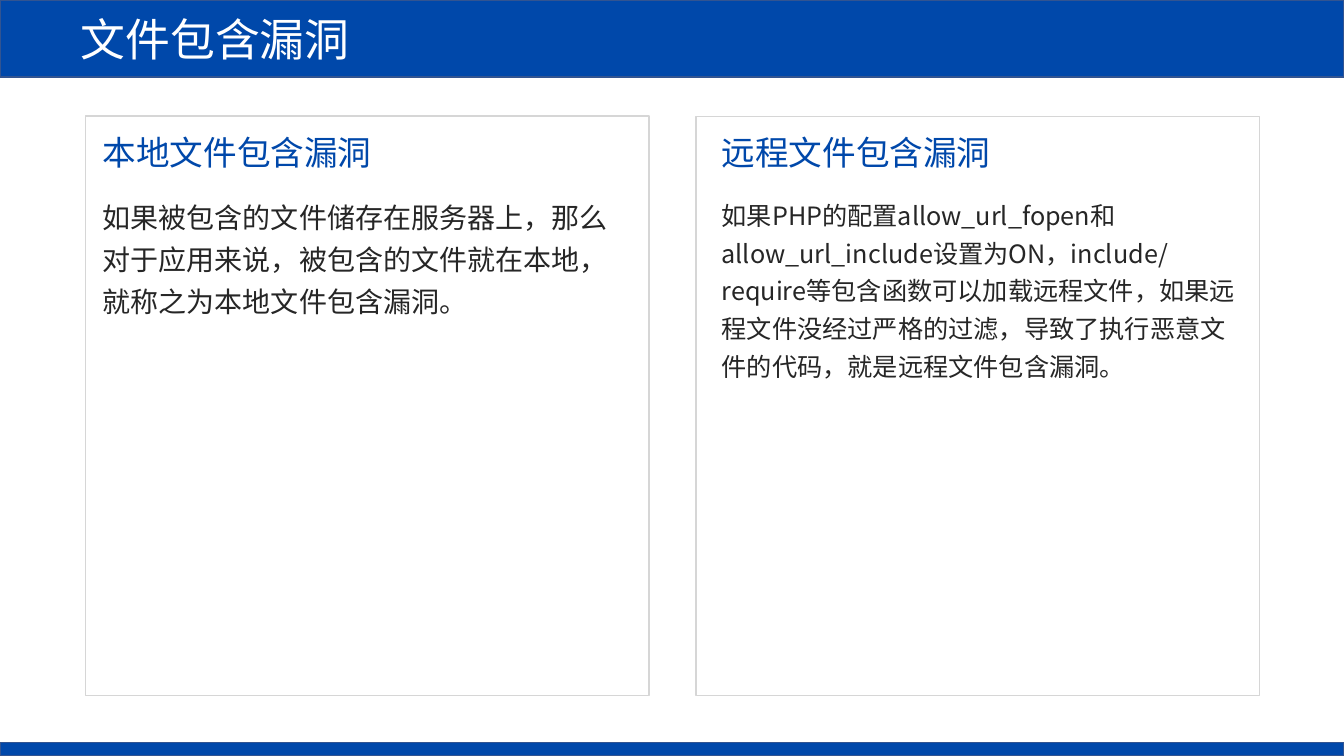
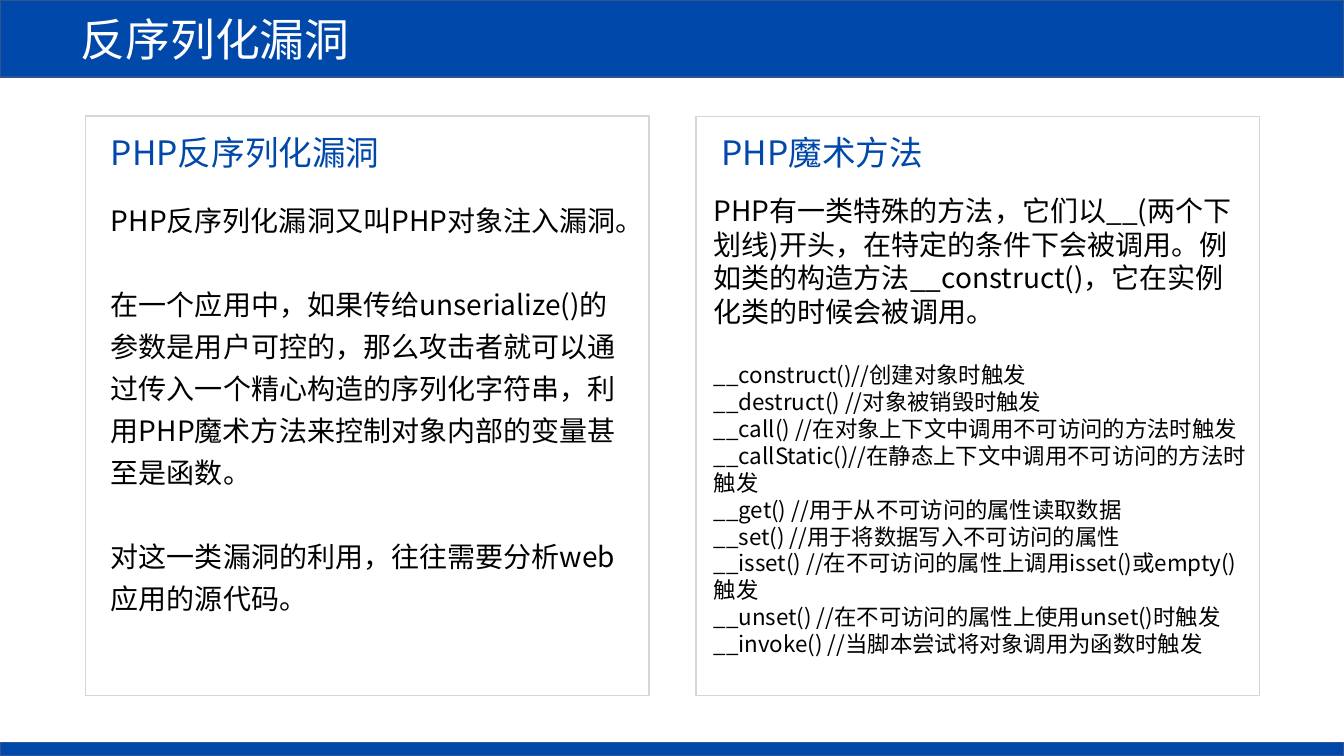
from dataclasses import dataclass

from lxml import etree
from pptx import Presentation
from pptx import util as u
from pptx.dml.color import RGBColor
from pptx.enum import shapes, text
from pptx.oxml import ns

FONT = "Noto Sans CJK SC"
BLUE, BAND_EDGE, FRAME_EDGE = "0048AA", "325491", "D6D6D6"
WHITE, BLACK, CHARCOAL = "FFFFFF", "000000", "262626"
SLIDE_WIDTH, SLIDE_HEIGHT = 960, 540
HEADER_HEIGHT, FOOTER_HEIGHT = 54.9, 9.6
COMPARISON_LAYOUT = 4
HEADING_TOP = 90.7


@dataclass(frozen=True)
class Box:
    left: float
    top: float
    width: float
    height: float


@dataclass(frozen=True)
class Line:
    words: str
    size: float = 20
    before: float = 0


@dataclass(frozen=True)
class Panel:
    heading: str
    heading_left: float
    body: Box
    lines: tuple[Line, ...]
    color: str = BLACK
    spacing: float = 1.25


@dataclass(frozen=True)
class Topic:
    title: str
    panels: tuple[Panel, Panel]


HEADER = Box(0, 0, SLIDE_WIDTH, HEADER_HEIGHT)
FOOTER = Box(0, SLIDE_HEIGHT - FOOTER_HEIGHT, SLIDE_WIDTH, FOOTER_HEIGHT)
FRAMES = (Box(61.2, 82.8, 402.5, 414), Box(497.1, 83.3, 402.5, 413.5))

MAGIC_METHODS = (
    "__construct()//创建对象时触发",
    "__destruct() //对象被销毁时触发",
    "__call() //在对象上下文中调用不可访问的方法时触发",
    "__callStatic()//在静态上下文中调用不可访问的方法时触发",
    "__get() //用于从不可访问的属性读取数据",
    "__set() //用于将数据写入不可访问的属性",
    "__isset() //在不可访问的属性上调用isset()或empty()触发",
    "__unset() //在不可访问的属性上使用unset()时触发",
    "__invoke() //当脚本尝试将对象调用为函数时触发",
)

TOPICS = (
    Topic("文件包含漏洞", (
        Panel("本地文件包含漏洞", 66.2, Box(66.2, 133.9, 380.2, 95), (
            Line("如果被包含的文件储存在服务器上，那么对于应用来说，被包含的文件就在本地，"
                 "就称之为本地文件包含漏洞。"),
        ), CHARCOAL),
        Panel("远程文件包含漏洞", 508.3, Box(508.3, 133.9, 385.2, 141), (
            Line("如果PHP的配置allow_url_fopen和allow_url_include设置为ON，include/require"
                 "等包含函数可以加载远程文件，如果远程文件没经过严格的过滤，"
                 "导致了执行恶意文件的代码，就是远程文件包含漏洞。", 18),
        ), CHARCOAL),
    )),
    Topic("反序列化漏洞", (
        Panel("PHP反序列化漏洞", 72, Box(72, 136.1, 380.2, 307.4), (
            Line("PHP反序列化漏洞又叫PHP对象注入漏洞。"),
            Line("在一个应用中，如果传给unserialize()的参数是用户可控的，那么攻击者就可以"
                 "通过传入一个精心构造的序列化字符串，利用PHP魔术方法来控制对象内部的变量"
                 "甚至是函数。", before=30),
            Line("对这一类漏洞的利用，往往需要分析web应用的源代码。", before=30),
        )),
        Panel("PHP魔术方法", 508.3, Box(502.6, 134.6, 396.7, 342), (
            Line("PHP有一类特殊的方法，它们以__(两个下划线)开头，在特定的条件下会被调用。"
                 "例如类的构造方法__construct()，它在实例化类的时候会被调用。"),
            *(Line(method, 16, 0 if row else 24)
              for row, method in enumerate(MAGIC_METHODS)),
        ), spacing=1),
    )),
)


def rgb(color: str) -> RGBColor:
    return RGBColor.from_string(color)


def place(shape, box: Box) -> None:
    shape.left, shape.top = u.Pt(box.left), u.Pt(box.top)
    shape.width, shape.height = u.Pt(box.width), u.Pt(box.height)


def outline(shape, color: str) -> None:
    shape.line.color.rgb = rgb(color)
    shape.line.width = u.Pt(1)


def paint_band(shape) -> None:
    shape.fill.solid()
    shape.fill.fore_color.rgb = rgb(BLUE)
    outline(shape, BAND_EDGE)


def add_rectangle(slide, box: Box):
    rectangle = slide.shapes.add_shape(
        shapes.MSO_SHAPE.RECTANGLE,
        u.Pt(box.left), u.Pt(box.top), u.Pt(box.width), u.Pt(box.height))
    rectangle.shadow.inherit = False
    return rectangle


def write(holder, box: Box, lines: tuple[Line, ...], color: str,
          spacing: float = 1, anchor=text.MSO_ANCHOR.TOP) -> None:
    place(holder, box)
    frame = holder.text_frame
    frame.text = "\n".join(line.words for line in lines)
    frame.word_wrap = True
    frame.auto_size = text.MSO_AUTO_SIZE.NONE
    frame.vertical_anchor = anchor
    for paragraph, line in zip(frame.paragraphs, lines):
        paragraph.alignment = text.PP_ALIGN.LEFT
        paragraph.line_spacing = spacing
        paragraph.space_before = u.Pt(line.before)
        paragraph.space_after = u.Pt(0)
        properties = paragraph._p.get_or_add_pPr()
        properties.set("marL", "0")
        properties.set("indent", "0")
        etree.SubElement(properties, ns.qn("a:buNone"))
        for run in paragraph.runs:
            run.font.name = FONT
            run.font.size = u.Pt(line.size)
            run.font.bold = False
            run.font.color.rgb = rgb(color)
            east_asian = etree.SubElement(run._r.get_or_add_rPr(), ns.qn("a:ea"))
            east_asian.set("typeface", FONT)


def add_header(slide, title: str) -> None:
    header = slide.shapes.title
    write(header, HEADER, (Line(title, 32),), WHITE,
          anchor=text.MSO_ANCHOR.MIDDLE)
    header.text_frame.margin_left = u.Pt(57.6)
    paint_band(header)


def add_panel(slide, panel: Panel, frame: Box, heading, body) -> None:
    border = add_rectangle(slide, frame)
    border.fill.background()
    outline(border, FRAME_EDGE)
    write(heading, Box(panel.heading_left, HEADING_TOP, 380.2, 36),
          (Line(panel.heading, 24),), BLUE)
    write(body, panel.body, panel.lines, panel.color, panel.spacing)


def add_topic(deck, topic: Topic) -> None:
    slide = deck.slides.add_slide(deck.slide_layouts[COMPARISON_LAYOUT])
    add_header(slide, topic.title)
    paint_band(add_rectangle(slide, FOOTER))
    for side, (panel, frame) in enumerate(zip(topic.panels, FRAMES)):
        add_panel(slide, panel, frame, slide.placeholders[2 * side + 1],
                  slide.placeholders[2 * side + 2])


def main() -> None:
    deck = Presentation()
    deck.slide_width, deck.slide_height = u.Pt(SLIDE_WIDTH), u.Pt(SLIDE_HEIGHT)
    for topic in TOPICS:
        add_topic(deck, topic)
    deck.save("out.pptx")


if __name__ == "__main__":
    main()
